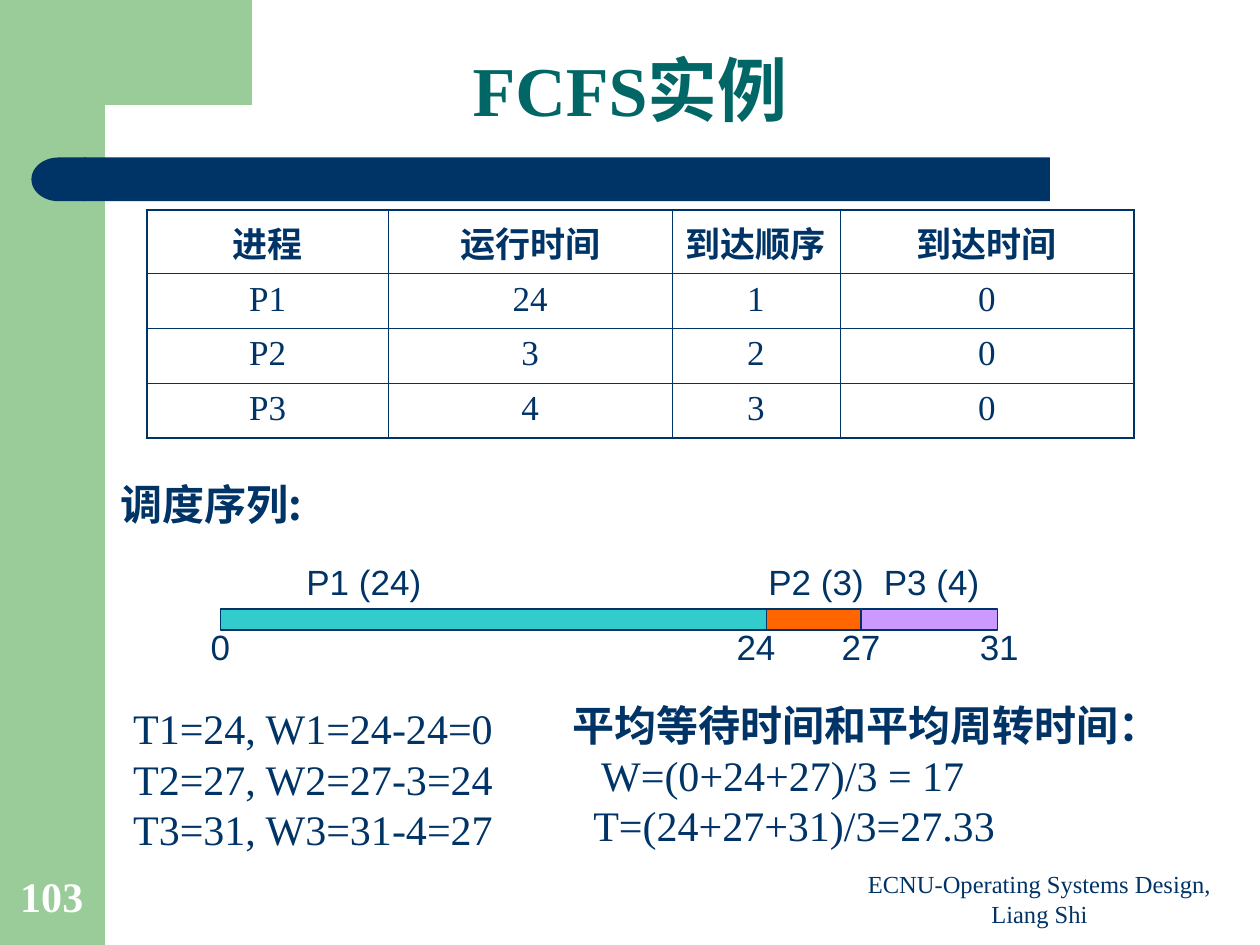
from lxml.etree import SubElement
from pptx import Presentation
from pptx.dml.color import RGBColor
from pptx.enum.shapes import MSO_SHAPE
from pptx.enum.text import MSO_ANCHOR, PP_ALIGN
from pptx.oxml.ns import qn
from pptx.util import Pt

NAVY, GREEN, TEAL, WHITE = "003366", "99CC99", "006666", "FFFFFF"
SERIF, SANS, CJK = "Times New Roman", "Arial", "Noto Sans CJK SC"


def color(code):
    return RGBColor.from_string(code)


def style(para, size, face=SERIF, code=NAVY, bold=False):
    for run in para.runs:
        font = run.font
        font.size, font.name, font.bold = Pt(size), face, bold
        font.color.rgb = color(code)
        SubElement(font._element, qn("a:ea")).set("typeface", CJK)


def paint(shape, fill, line=None):
    shape.shadow.inherit = False
    shape.fill.solid()
    shape.fill.fore_color.rgb = color(fill)
    if line:
        shape.line.color.rgb = color(line)
        shape.line.width = Pt(0.75)
    else:
        shape.line.fill.background()


def block(slide, kind, box, fill, line=None):
    shape = slide.shapes.add_shape(kind, *map(Pt, box))
    paint(shape, fill, line)
    return shape


def write(slide, box, text, size, face=SERIF, code=NAVY, bold=False, wrap=True):
    """Add a text box, one paragraph per line of text, and return its frame."""
    frame = slide.shapes.add_textbox(*map(Pt, box)).text_frame
    frame.word_wrap = wrap
    frame.text = text
    for para in frame.paragraphs:
        style(para, size, face, code, bold)
    return frame


def add_frame(slide, box):
    """Draw the green side band, its corner piece and the navy bar."""
    x, y, w, h = box
    block(slide, MSO_SHAPE.RECTANGLE, (x, y, 60, h), GREEN)
    points = [(144, 0), (144, 60), (60, 60), (55, 61), (51, 66), (49, 75),
              (48, 92), (36, 92), (36, 0)]
    spots = [(Pt(x + px), Pt(y + py)) for px, py in points]
    build = slide.shapes.build_freeform(*spots[0])
    build.add_line_segments(spots[1:], close=True)
    paint(build.convert_to_shape(), GREEN)
    block(slide, MSO_SHAPE.RECTANGLE, (x + 48, y + 90, 552, 25), NAVY)
    cap = block(slide, MSO_SHAPE.FLOWCHART_DELAY, (x + 18, y + 90, 31, 25), NAVY)
    cap._element.spPr.xfrm.set("flipH", "1")


def add_title(slide, box, text):
    title = slide.shapes.title
    title.left, title.top, title.width, title.height = map(Pt, box)
    frame = title.text_frame
    frame.text = text
    frame.vertical_anchor = MSO_ANCHOR.BOTTOM
    frame.margin_left = frame.margin_right = 0
    frame.margin_top = frame.margin_bottom = 0
    para = frame.paragraphs[0]
    para.alignment, para.line_spacing = PP_ALIGN.CENTER, 0.9
    style(para, 40, code=TEAL, bold=True)


def border(cell, outer):
    """Rule all four sides, heavier on the sides named in outer."""
    props = cell._tc.get_or_add_tcPr()
    for side in "LRTB":
        width = Pt(1.08 if side in outer else 0.45)
        line = SubElement(props, qn("a:ln" + side), w=str(width))
        fill = SubElement(line, qn("a:solidFill"))
        SubElement(fill, qn("a:srgbClr"), val=NAVY)


def add_grid(slide, box, widths, rows):
    table = slide.shapes.add_table(len(rows), len(widths), *map(Pt, box)).table
    table.first_row = table.horz_banding = False
    for col, width in zip(table.columns, widths):
        col.width = Pt(width)
    for r, row in enumerate(rows):
        table.rows[r].height = Pt(box[3] / len(rows))
        for c, text in enumerate(row):
            cell = table.cell(r, c)
            edges = {"L": c == 0, "R": c == len(row) - 1,
                     "T": r == 0, "B": r == len(rows) - 1}
            border(cell, [side for side, on in edges.items() if on])
            cell.fill.background()
            cell.text = text
            para = cell.text_frame.paragraphs[0]
            para.alignment = PP_ALIGN.CENTER
            if r == 0:
                style(para, 20, SANS, bold=True)
            else:
                style(para, 20)


def add_gantt(slide, box, parts, ticks):
    """Draw the schedule bar; part and tick offsets count from its left end."""
    x, y, w, h = box
    for name, fill, left, width, shift, span in parts:
        block(slide, MSO_SHAPE.RECTANGLE, (x + left, y, width, h), fill, NAVY)
        write(slide, (x + shift, y - 31, span, 32), name, 20, SANS, wrap=False)
    for text, mid in ticks:
        span = 16 + 12 * len(text)
        spot = (x + mid - span / 2, y + 6, span, 32)
        frame = write(slide, spot, text, 20, SANS, wrap=False)
        frame.paragraphs[0].alignment = PP_ALIGN.CENTER


def add_sums(slide, box):
    x, y, w, h = box
    times = "T1=24, W1=24-24=0\nT2=27, W2=27-3=24\nT3=31, W3=31-4=27"
    write(slide, (x, y + 2, 234, h), times, 24)
    means = "平均等待时间和平均周转时间：\nW=(0+24+27)/3 = 17\nT=(24+27+31)/3=27.33"
    frame = write(slide, (x + 251, y, 360, h), means, 24)
    head, *rest = frame.paragraphs
    head.runs[0].font.bold = True
    head.runs[0].font.name = SANS
    for para, indent in zip(rest, (16.5, 12)):
        para._p.get_or_add_pPr().set("marL", str(Pt(indent)))


def add_foot(slide, box):
    x, y, w, h = box
    note = write(slide, (x + 480, y + 5, 228, 37),
                 "ECNU-Operating Systems Design, Liang Shi", 14)
    note.paragraphs[0].alignment = PP_ALIGN.CENTER
    page = write(slide, (x + 4.5, y, 55, 38), "103", 24, code=WHITE, bold=True)
    page.paragraphs[0].line_spacing = 0.9
    for frame in (note, page):
        frame.vertical_anchor = MSO_ANCHOR.BOTTOM


def main():
    deck = Presentation()
    deck.slide_width, deck.slide_height = Pt(720), Pt(540)
    slide = deck.slides.add_slide(deck.slide_layouts[5])
    add_frame(slide, (0, 0, 720, 540))
    add_title(slide, (4, 23, 712, 52), "FCFS实例")
    add_grid(slide, (84, 120, 564, 125.2), (138, 162, 96, 168), [
        ("进程", "运行时间", "到达顺序", "到达时间"),
        ("P1", "24", "1", "0"),
        ("P2", "3", "2", "0"),
        ("P3", "4", "3", "0"),
    ])
    write(slide, (62, 270, 130, 36), "调度序列:", 24, CJK, bold=True, wrap=False)
    add_gantt(slide, (126, 348, 444, 12), [
        ("P1 (24)", "33CCCC", 0, 318, 42, 80),
        ("P2 (3)", "FF6600", 312, 60, 306, 69),
        ("P3 (4)", "CC99FF", 366, 78, 372, 69),
    ], [("0", 0), ("24", 306), ("27", 366), ("31", 445)])
    add_sums(slide, (69, 396, 611, 94))
    add_foot(slide, (0, 492, 720, 42))
    deck.save("out.pptx")


if __name__ == "__main__":
    main()
